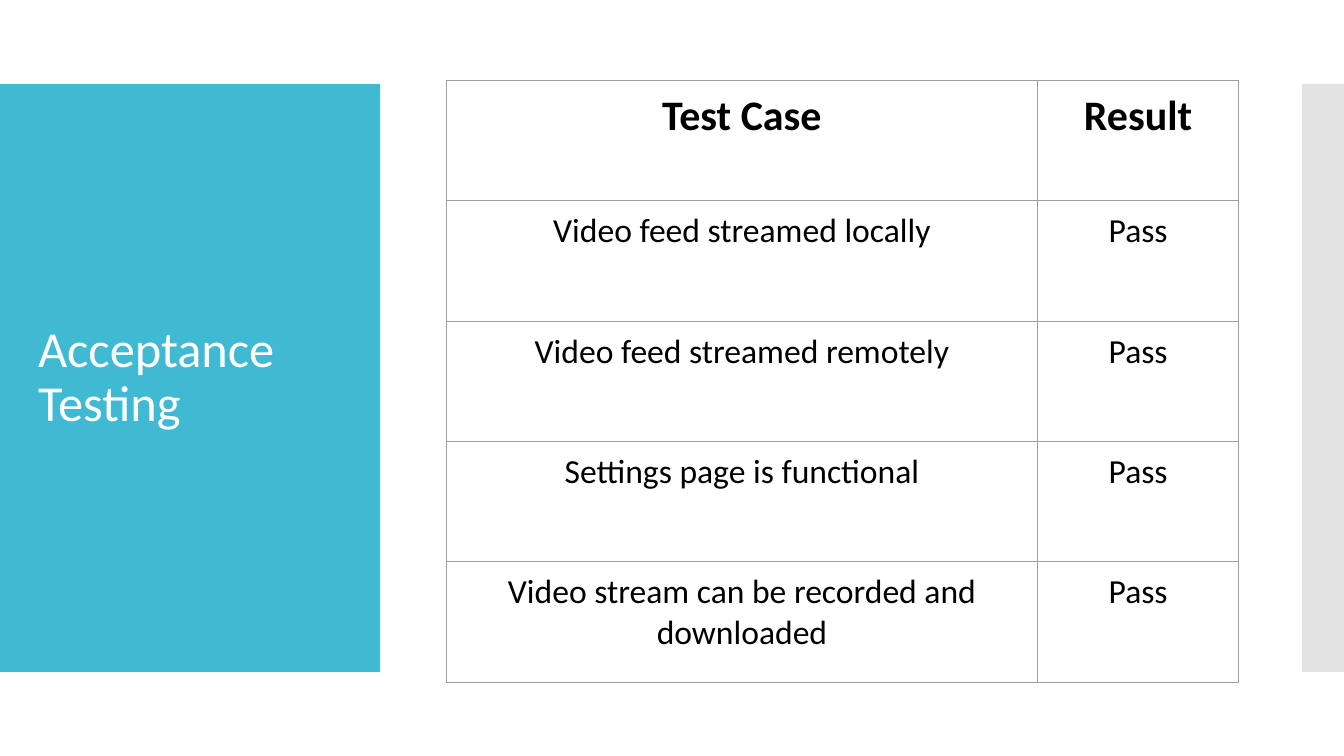
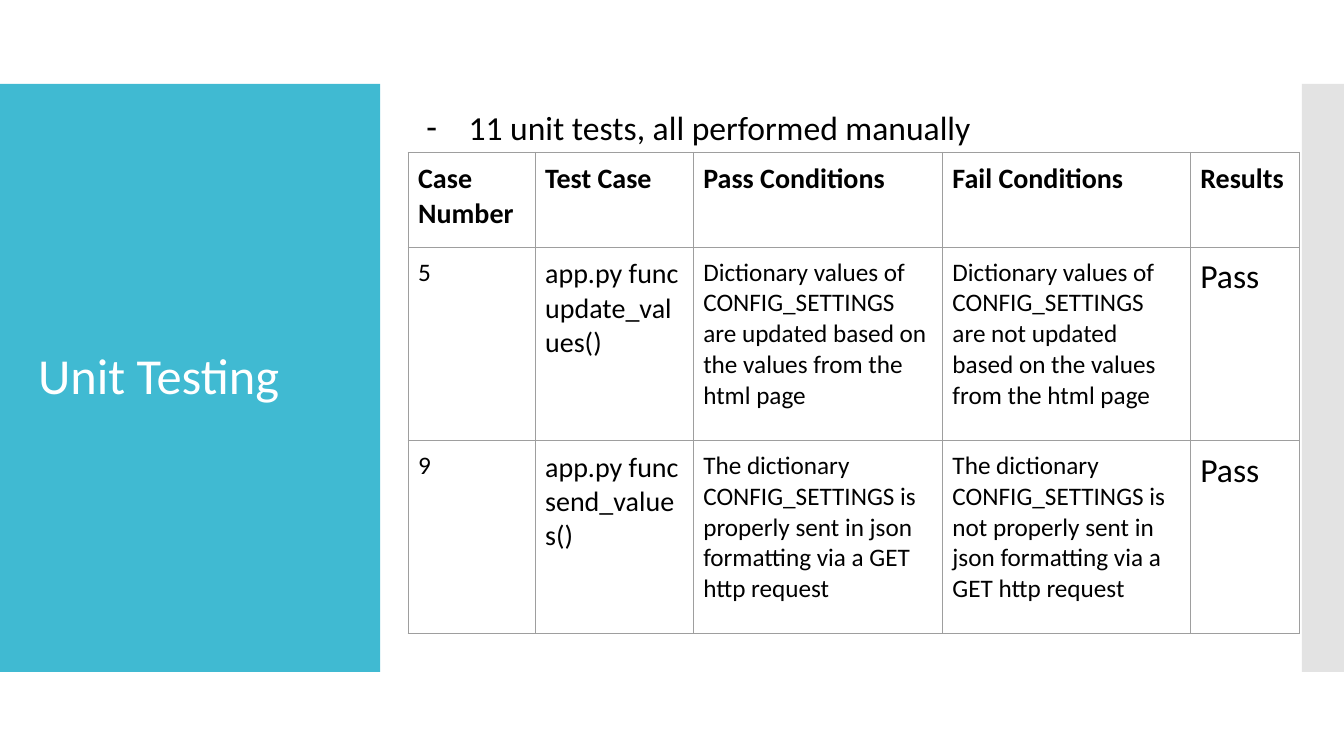
"""Build two testing slides with a title band and result tables."""
from lxml.etree import SubElement
from pptx import Presentation
from pptx.dml.color import RGBColor
from pptx.enum.shapes import MSO_SHAPE
from pptx.enum.text import MSO_ANCHOR, MSO_AUTO_SIZE, PP_ALIGN
from pptx.oxml.ns import qn
from pptx.util import Inches, Pt

COLUMNS, ROWS = 96, 54
UNIT = Inches(13.333) / COLUMNS
TITLE_ONLY, TITLE_AND_CONTENT = 5, 1


def units(count):
    return round(count * UNIT)


def color(code):
    return RGBColor.from_string(code)


def write(frame, text, size=24, ink="000000", bold=False, align=PP_ALIGN.LEFT,
          spacing=1.0, anchor=MSO_ANCHOR.TOP):
    para = frame.paragraphs[0]
    para.alignment = align
    para.line_spacing = spacing
    para.space_before = para.space_after = Pt(0)
    frame.vertical_anchor = anchor
    span = para.add_run()
    span.text = text
    span.font.name = "Calibri"
    span.font.size = Pt(size)
    span.font.bold = bold
    span.font.color.rgb = color(ink)
    return para


class TestingDeck:
    """Hold the shared style and the slide being built."""

    TEAL, GRAY, WHITE, BORDER = "40BAD2", "C8C8C8", "FFFFFF", "9E9E9E"
    INSET = Inches(0.1)

    def __init__(self):
        self.deck = Presentation()
        self.deck.slide_width = units(COLUMNS)
        self.deck.slide_height = units(ROWS)
        self.page = None

    def add_page(self, title, layout):
        self.page = self.deck.slides.add_slide(self.deck.slide_layouts[layout])
        self.band(0, 27.15, self.TEAL)
        self.band(93, 3, self.GRAY, opacity=50)
        frame = self.place(self.page.shapes.title, 2, 8.85, 23.2, 36.3)
        frame.margin_top = frame.margin_bottom = Inches(0.05)
        write(frame, title, size=36, ink=self.WHITE, spacing=0.9, anchor=MSO_ANCHOR.MIDDLE)

    def band(self, left, width, fill, opacity=100):
        box = self.page.shapes.add_shape(
            MSO_SHAPE.RECTANGLE, units(left), units(6), units(width), units(42))
        box.shadow.inherit = False
        box.fill.solid()
        box.fill.fore_color.rgb = color(fill)
        box.line.fill.background()
        if opacity < 100:
            tint = box.element.spPr.find(".//" + qn("a:srgbClr"))
            SubElement(tint, qn("a:alpha"), val=str(opacity * 1000))
        self.page.shapes.element.insert(2, box.element)

    def place(self, box, left, top, width, height):
        box.left, box.top = units(left), units(top)
        box.width, box.height = units(width), units(height)
        frame = box.text_frame
        frame.word_wrap = True
        frame.auto_size = MSO_AUTO_SIZE.NONE
        frame.margin_left = frame.margin_right = self.INSET
        frame.margin_top = frame.margin_bottom = self.INSET
        return frame

    def bullet(self, text, left, top, width, height):
        frame = self.place(self.page.placeholders[1], left, top, width, height)
        settings = write(frame, text)._p.get_or_add_pPr()
        settings.set("marL", str(Inches(0.5)))
        settings.set("indent", str(-Inches(0.42)))
        ink = SubElement(settings, qn("a:buClr"))
        SubElement(ink, qn("a:srgbClr"), val="000000")
        SubElement(settings, qn("a:buChar"), char="-")

    def table(self, left, top, widths, heights, content, head_size, sizes,
              align=PP_ALIGN.LEFT):
        table = self.page.shapes.add_table(
            len(heights), len(widths), units(left), units(top),
            units(sum(widths)), units(sum(heights))).table
        table.first_row = table.horz_banding = False
        for column, width in zip(table.columns, widths):
            column.width = units(width)
        for index, (row, height) in enumerate(zip(table.rows, heights)):
            row.height = units(height)
            head = index == 0
            for cell, text, size in zip(row.cells, content[index], sizes):
                self.style_cell(cell)
                write(cell.text_frame, text, size=head_size if head else size,
                      bold=head, align=align)

    def style_cell(self, cell):
        cell.margin_left = cell.margin_right = self.INSET
        cell.margin_top = cell.margin_bottom = self.INSET
        settings = cell._tc.get_or_add_tcPr()
        for side in ("lnL", "lnR", "lnT", "lnB"):
            edge = SubElement(settings, qn("a:" + side), w=str(Pt(0.75)))
            paint = SubElement(edge, qn("a:solidFill"))
            SubElement(paint, qn("a:srgbClr"), val=self.BORDER)
        cell.fill.background()


def main():
    show = TestingDeck()

    show.add_page("Acceptance Testing", TITLE_ONLY)
    cases = ["Video feed streamed locally", "Video feed streamed remotely",
             "Settings page is functional", "Video stream can be recorded and downloaded"]
    show.table(31.9, 5.75, [42.2, 14.4], [8.6] * 5,
               [["Test Case", "Result"]] + [[case, "Pass"] for case in cases],
               head_size=30, sizes=[24, 24], align=PP_ALIGN.CENTER)

    show.add_page("Unit Testing", TITLE_AND_CONTENT)
    show.bullet("11 unit tests, all performed manually", 29.15, 6.9, 54.3, 3.95)
    show.table(
        29.15, 10.87, [9.07, 11.3, 17.8, 17.7, 7.8], [6.77, 13.82, 13.82],
        [["Case Number", "Test Case", "Pass Conditions", "Fail Conditions", "Results"],
         ["5", "app.py func update_values()",
          "Dictionary values of CONFIG_SETTINGS are updated based on the values"
          " from the html page",
          "Dictionary values of CONFIG_SETTINGS are not updated based on the values"
          " from the html page", "Pass"],
         ["9", "app.py func send_values()",
          "The dictionary CONFIG_SETTINGS is properly sent in json formatting"
          " via a GET http request",
          "The dictionary CONFIG_SETTINGS is not properly sent in json formatting"
          " via a GET http request", "Pass"]],
        head_size=20, sizes=[18, 20, 18, 18, 24])

    show.deck.save("out.pptx")


if __name__ == "__main__":
    main()
